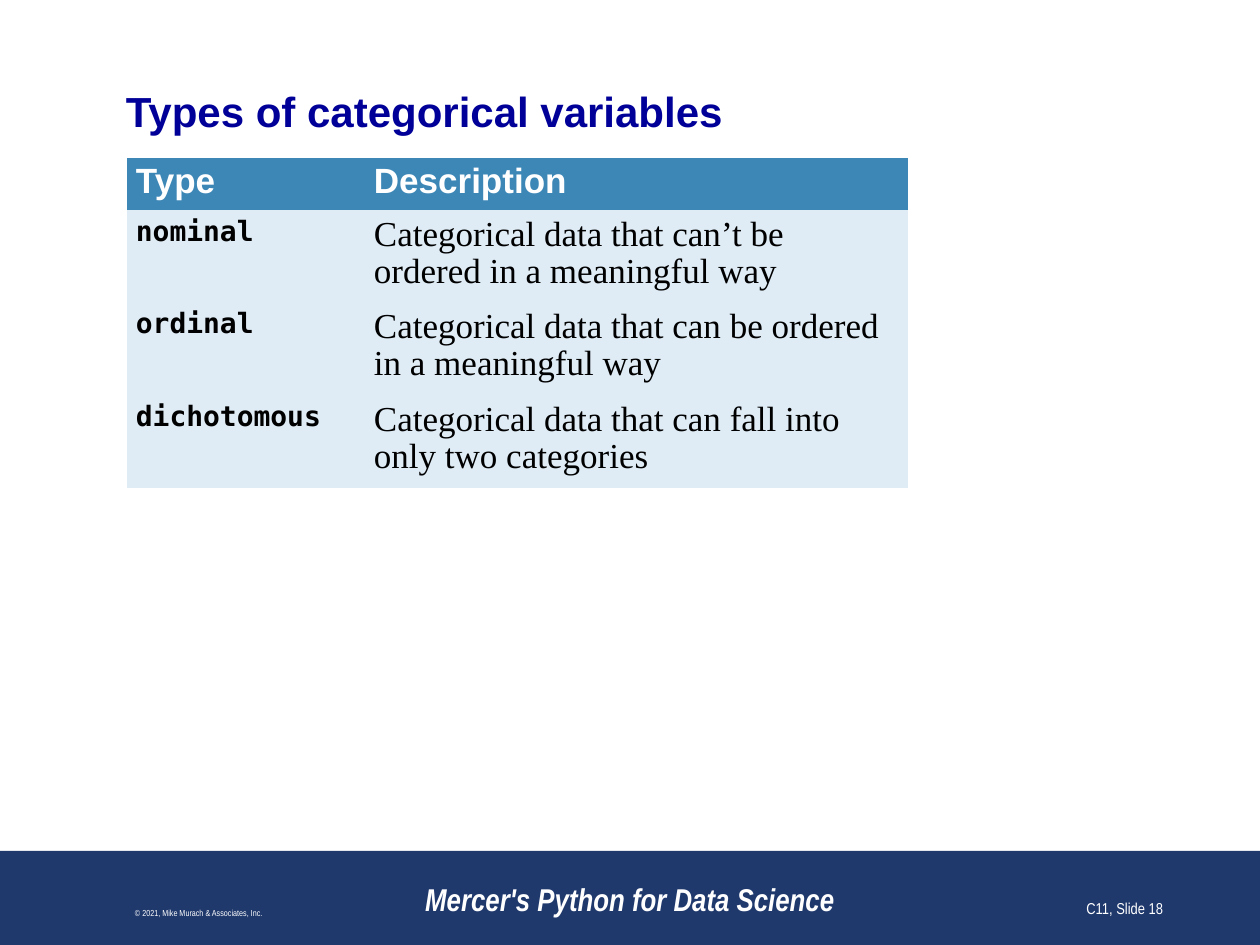
import pptx
import pptx.util
import pptx.dml.color
import pptx.enum.shapes
import pptx.enum.text

SCALE = 914400 / 126
ALIGN = pptx.enum.text.PP_ALIGN
ANCHOR = pptx.enum.text.MSO_ANCHOR
NO_GRID = "{2D5ABB26-0587-4C30-8999-92F81FD0307C}"


def px(*nums):
    return [pptx.util.Emu(round(n * SCALE)) for n in nums]


def color(code):
    return pptx.dml.color.RGBColor.from_string(code)


class Deck:
    navy, blue, pale = "20396D", "3D87B7", "DFECF5"
    title, white, black = "000099", "FFFFFF", "000000"
    sans, slim = "Arial", "Arial Narrow"
    mono, serif = "DejaVu Sans Mono", "Times New Roman"

    def __init__(self, wide, high):
        self.show = pptx.Presentation()
        self.show.slide_width, self.show.slide_height = px(wide, high)
        self.slide = self.show.slides.add_slide(self.show.slide_layouts[6])

    def style(self, para, face, size, hue, bold=False, italic=False):
        font = para.font
        font.name, font.size = face, pptx.util.Pt(size)
        font.bold, font.italic = bold, italic
        font.color.rgb = color(hue)

    def bar(self, box, fill):
        shape = self.slide.shapes.add_shape(
            pptx.enum.shapes.MSO_SHAPE.RECTANGLE, *px(*box))
        shape.shadow.inherit = False
        shape.fill.solid()
        shape.fill.fore_color.rgb = color(fill)
        shape.line.fill.background()

    def text(self, box, words, font, align=ALIGN.LEFT,
             anchor=ANCHOR.BOTTOM, inset=(13, 6)):
        frame = self.slide.shapes.add_textbox(*px(*box)).text_frame
        frame.word_wrap = True
        frame.vertical_anchor = anchor
        frame.margin_left = frame.margin_right = px(inset[0])[0]
        frame.margin_top = frame.margin_bottom = px(inset[1])[0]
        para = frame.paragraphs[0]
        para.text, para.alignment = words, align
        self.style(para, *font)

    def cell(self, cell, words, font, fill):
        cell.fill.solid()
        cell.fill.fore_color.rgb = color(fill)
        cell.margin_left = cell.margin_right = px(9)[0]
        cell.margin_top = cell.margin_bottom = px(6)[0]
        para = cell.text_frame.paragraphs[0]
        para.text, para.line_spacing = words, 0.96
        self.style(para, *font)

    def table(self, left, top, cols, highs, rows):
        grid = self.slide.shapes.add_table(
            len(rows), len(cols),
            *px(left, top, sum(cols), sum(highs))).table
        grid.horz_banding = False
        grid._tbl.tblPr.find(pptx.oxml.ns.qn("a:tableStyleId")).text = NO_GRID
        for col, wide in zip(grid.columns, px(*cols)):
            col.width = wide
        for row, high in zip(grid.rows, px(*highs)):
            row.height = high
        head = (self.sans, 20, self.white, True)
        body = [(self.mono, 16, self.black, True),
                (self.serif, 20, self.black)]
        for r, row in enumerate(rows):
            for c, words in enumerate(row):
                self.cell(grid.cell(r, c), words,
                          body[c] if r else head,
                          self.pale if r else self.blue)


def main():
    deck = Deck(1260, 945)

    # Footer band
    deck.bar((0, 851, 1260, 94), deck.navy)

    # Title
    deck.text((126, 86, 1008, 50), "Types of categorical variables",
              (deck.sans, 24, deck.title, True),
              anchor=ANCHOR.MIDDLE, inset=(0, 0))

    # Table of types
    deck.table(127, 158, (238, 543), (51, 90, 90, 90), [
        ("Type", "Description"),
        ("nominal",
         "Categorical data that can’t be ordered in a meaningful way"),
        ("ordinal",
         "Categorical data that can be ordered in a meaningful way"),
        ("dichotomous",
         "Categorical data that can fall into only two categories"),
    ])

    # Footer texts
    deck.text((378, 861, 504, 63), "Mercer's Python for Data Science",
              (deck.slim, 18, deck.white, True, True), ALIGN.CENTER)
    deck.text((10, 861, 378, 63), "© 2021, Mike Murach & Associates, Inc.",
              (deck.slim, 5, deck.white), ALIGN.CENTER)
    deck.text((914, 861, 262, 63), "C11, Slide 18",
              (deck.slim, 9, deck.white), ALIGN.RIGHT)

    deck.show.save("out.pptx")


if __name__ == "__main__":
    main()
